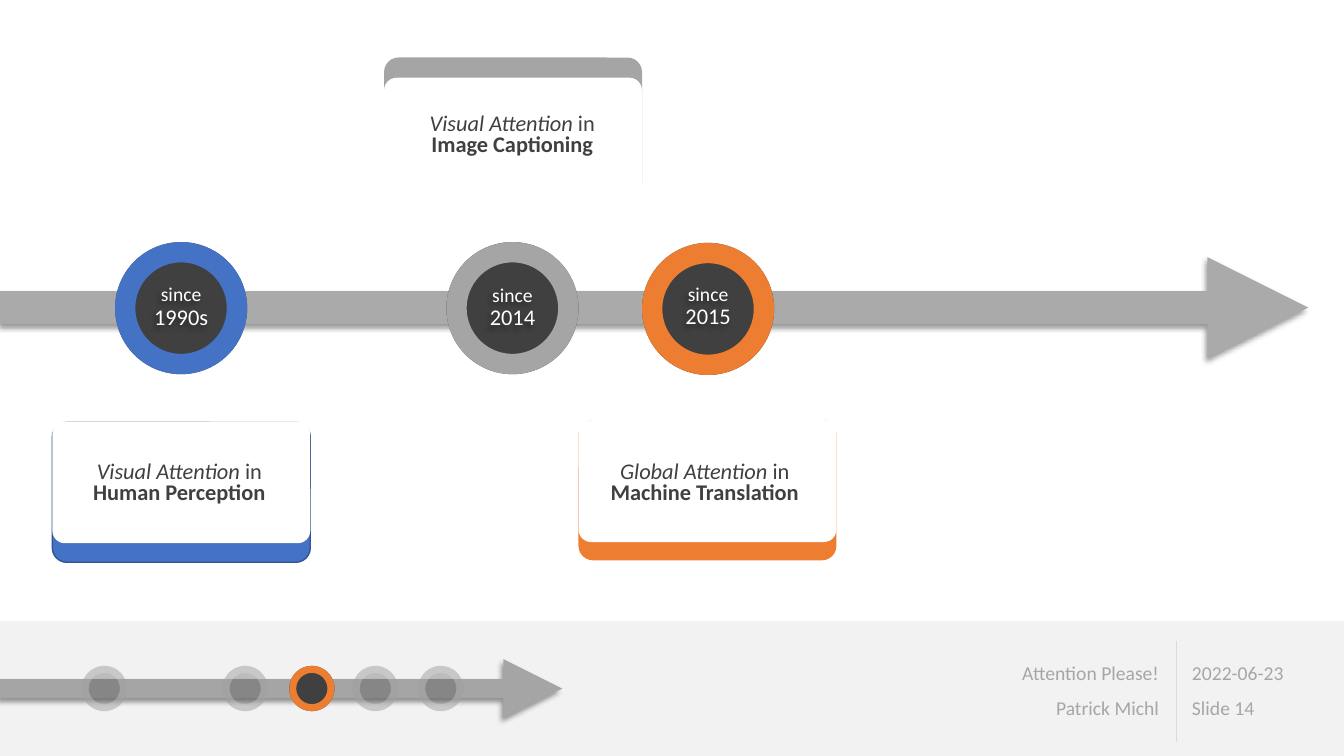
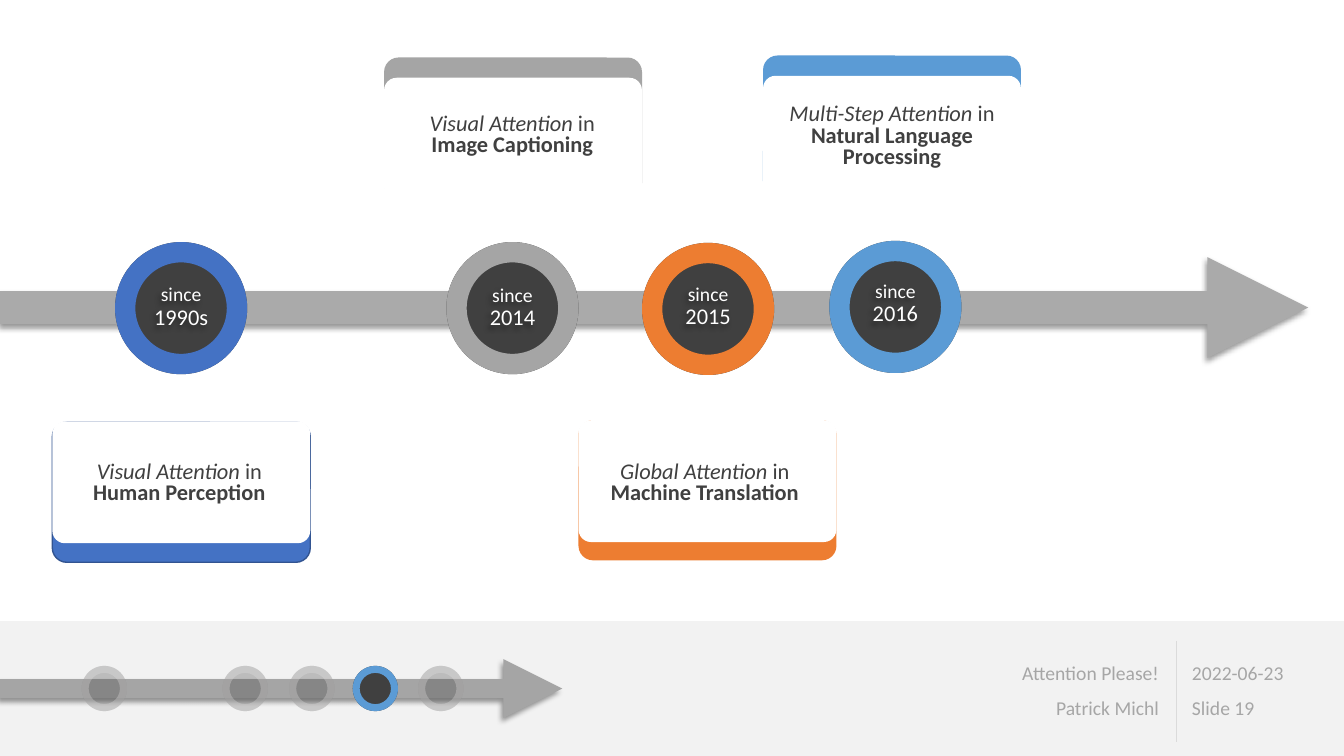
import copy

import lxml.etree
import pptx
import pptx.dml.color
import pptx.enum.shapes
import pptx.enum.text
import pptx.oxml.ns
import pptx.util

Cm, Pt = pptx.util.Cm, pptx.util.Pt
SHAPE = pptx.enum.shapes.MSO_SHAPE
ALIGN = pptx.enum.text.PP_ALIGN
qn = pptx.oxml.ns.qn

# Content, lengths in centimetres
COLORS = {
    "white": "FFFFFF", "dark": "404040", "band": "F2F2F2", "footer": "A6A6A6",
    "divider": "DBDBDB", "timeline": "AAAAAA", "gray": "A5A5A5", "faded": "E7E6E6",
    "blue": "4472C4", "blue_edge": "325491", "orange": "ED7D31", "sky": "5B9BD5",
    "shadow": "000000",
}
FONT = "Calibri"
MILESTONES = [
    {"year": "1990s", "topic": "Visual Attention", "field": ["Human Perception"],
     "color": "blue", "edge": "blue_edge", "disc": (2.9, 6.1), "year_middle": 7.75,
     "card": (1.32, 10.64), "panel_top": 10.62, "caption": (1.47, 10.97, 6.1, 2.44)},
    {"year": "2014", "topic": "Visual Attention", "field": ["Image Captioning"],
     "color": "gray", "disc": (11.25, 6.1), "year_middle": 7.76,
     "card": (9.68, 1.45), "panel_top": 1.96, "caption": (9.86, 2.08, 6.1, 2.67)},
    {"year": "2015", "topic": "Global Attention", "field": ["Machine Translation"],
     "color": "orange", "disc": (16.18, 6.12), "year_middle": 7.73,
     "card": (14.58, 10.59), "panel_top": 10.59, "caption": (14.71, 10.97, 6.1, 2.44)},
    {"year": "2016", "topic": "Multi-Step Attention",
     "field": ["Natural Language", "Processing"],
     "color": "sky", "disc": (20.9, 6.07), "year_middle": 7.66,
     "card": (19.23, 1.4), "panel_top": 1.91, "caption": (19.43, 2.16, 6.1, 2.57)},
]
SLIDES = [{"number": 14, "milestones": 3}, {"number": 19, "milestones": 4}]
FOOTER_LEFT = ["Attention Please!", "Patrick Michl"]
DATE = "2022-06-23"

SLIDE_WIDTH, SLIDE_HEIGHT = 33.87, 19.05
BAND_TOP = 15.65
DISC_SIZE, YEAR_WIDTH, YEAR_HEIGHT = 3.33, 2.29, 1.7
CARD_WIDTH, CARD_HEIGHT, PANEL_HEIGHT = 6.5, 3.53, 3.07
PROGRESS_LEFTS = [2.06, 5.61, 7.29, 8.89, 10.54]
PROGRESS_TOP, PROGRESS_SIZE = 16.78, 1.14


def rgb(color):
    return pptx.dml.color.RGBColor.from_string(COLORS[color])


def add_shadow(properties):
    """Soft shadow to the lower left."""
    effects = lxml.etree.SubElement(properties, qn("a:effectLst"))
    shadow = lxml.etree.SubElement(effects, qn("a:outerShdw"), blurRad="50800",
                                   dist="38100", dir="8100000", algn="tr", rotWithShape="0")
    color = lxml.etree.SubElement(shadow, qn("a:srgbClr"), val=COLORS["shadow"])
    lxml.etree.SubElement(color, qn("a:alpha"), val="40000")


def add_shape(slide, kind, box, color, adjustment=None, edge=None, opacity=100):
    shape = slide.shapes.add_shape(kind, *map(Cm, box))
    shape.shadow.inherit = False
    shape.fill.solid()
    shape.fill.fore_color.rgb = rgb(color)
    if opacity < 100:
        fill = shape._element.spPr.find(".//" + qn("a:srgbClr"))
        lxml.etree.SubElement(fill, qn("a:alpha"), val=str(opacity * 1000))
    if adjustment is not None:
        shape.adjustments[0] = adjustment
    if edge:
        shape.line.color.rgb = rgb(edge)
        shape.line.width = Pt(1)
    else:
        shape.line.fill.background()


def add_line(slide, start, end, color, width, arrow=False):
    line = slide.shapes.add_connector(pptx.enum.shapes.MSO_CONNECTOR.STRAIGHT,
                                      *map(Cm, start + end))
    line.line.color.rgb = rgb(color)
    line.line.width = Pt(width)
    properties = line._element.spPr
    if arrow:
        lxml.etree.SubElement(properties.find(qn("a:ln")), qn("a:tailEnd"), type="triangle")
        add_shadow(properties)
    else:
        lxml.etree.SubElement(properties, qn("a:effectLst"))


def add_text(slide, box, paragraphs, color, align, spacing, insets=(0.25, 0.25)):
    """Each paragraph is a list of lines, each line a list of (text, size, style)."""
    shape = slide.shapes.add_textbox(*map(Cm, box))
    frame = shape.text_frame
    frame.word_wrap = True
    frame.vertical_anchor = pptx.enum.text.MSO_ANCHOR.MIDDLE
    frame.margin_left, frame.margin_right = map(Cm, insets)
    for index, lines in enumerate(paragraphs):
        paragraph = frame.add_paragraph() if index else frame.paragraphs[0]
        paragraph.alignment = align
        paragraph.line_spacing = spacing
        paragraph.space_before = Pt(10 if index else 0)
        for line_index, line in enumerate(lines):
            if line_index:
                paragraph.add_line_break()
            for text, size, style in line:
                run = paragraph.add_run()
                run.text = text
                run.font.name = FONT
                run.font.size = Pt(size)
                run.font.color.rgb = rgb(color)
                run.font.italic = style == "italic"
                run.font.bold = style == "bold"
        # Line breaks take the format of the run before them
        for line_break in paragraph._p.findall(qn("a:br")):
            line_break.append(copy.deepcopy(line_break.getprevious().find(qn("a:rPr"))))
    return shape


def add_disc(slide, left, top, size, ring, opacity=100):
    box = (left, top, size, size)
    add_shape(slide, SHAPE.OVAL, box, "dark", opacity=opacity)
    add_shape(slide, SHAPE.DONUT, box, ring, 0.154, opacity=opacity)


def add_footer(slide, number):
    add_shape(slide, SHAPE.RECTANGLE,
              (0, BAND_TOP, SLIDE_WIDTH, SLIDE_HEIGHT - BAND_TOP), "band")
    columns = [(29.79, 3.76, ALIGN.LEFT, [DATE, f"Slide {number}"]),
               (22.96, 6.35, ALIGN.RIGHT, FOOTER_LEFT)]
    for left, width, align, texts in columns:
        add_text(slide, (left, 16.23, width, 2.39), [[[(text, 14, None)]] for text in texts],
                 "footer", align, 0.9, (0.25, 0.1))
    add_line(slide, (29.64, 16.15), (29.64, 18.69), "divider", 0.5)


def add_milestone(slide, milestone):
    left, top = milestone["disc"]
    add_disc(slide, left, top, DISC_SIZE, milestone["color"])
    year_box = (left + (DISC_SIZE - YEAR_WIDTH) / 2,
                milestone["year_middle"] - YEAR_HEIGHT / 2, YEAR_WIDTH, YEAR_HEIGHT)
    year = add_text(slide, year_box, [[[("since", 14, None)], [(milestone["year"], 16, None)]]],
                    "white", ALIGN.CENTER, 0.9, (0.2, 0.2))
    add_shadow(year._element.spPr)

    # Coloured card with a white panel on it
    left, top = milestone["card"]
    add_shape(slide, SHAPE.ROUNDED_RECTANGLE, (left, top, CARD_WIDTH, CARD_HEIGHT),
              milestone["color"], 0.103, milestone.get("edge"))
    add_shape(slide, SHAPE.ROUNDED_RECTANGLE,
              (left, milestone["panel_top"], CARD_WIDTH, PANEL_HEIGHT), "white", 0.103)
    lines = [[(milestone["topic"], 16, "italic"), (" in", 16, None)]]
    lines += [[(text, 16, "bold")] for text in milestone["field"]]
    add_text(slide, milestone["caption"], [lines], "dark", ALIGN.CENTER, 0.8)


def add_progress(slide, active):
    add_line(slide, (0, 17.35), (14.17, 17.35), "gray", 14, arrow=True)
    for index, left in enumerate(PROGRESS_LEFTS):
        if index == active:
            ring, opacity = MILESTONES[index]["color"], 100
        else:
            ring, opacity = "faded", 30
        add_disc(slide, left, PROGRESS_TOP, PROGRESS_SIZE, ring, opacity)


def main():
    presentation = pptx.Presentation()
    presentation.slide_width = Cm(SLIDE_WIDTH)
    presentation.slide_height = Cm(SLIDE_HEIGHT)
    blank_layout = presentation.slide_layouts[6]
    for content in SLIDES:
        slide = presentation.slides.add_slide(blank_layout)
        add_footer(slide, content["number"])
        add_line(slide, (0, 7.75), (32.97, 7.75), "timeline", 24, arrow=True)
        for milestone in MILESTONES[:content["milestones"]]:
            add_milestone(slide, milestone)
        # The latest milestone is the active one
        add_progress(slide, content["milestones"] - 1)
    presentation.save("out.pptx")


if __name__ == "__main__":
    main()
